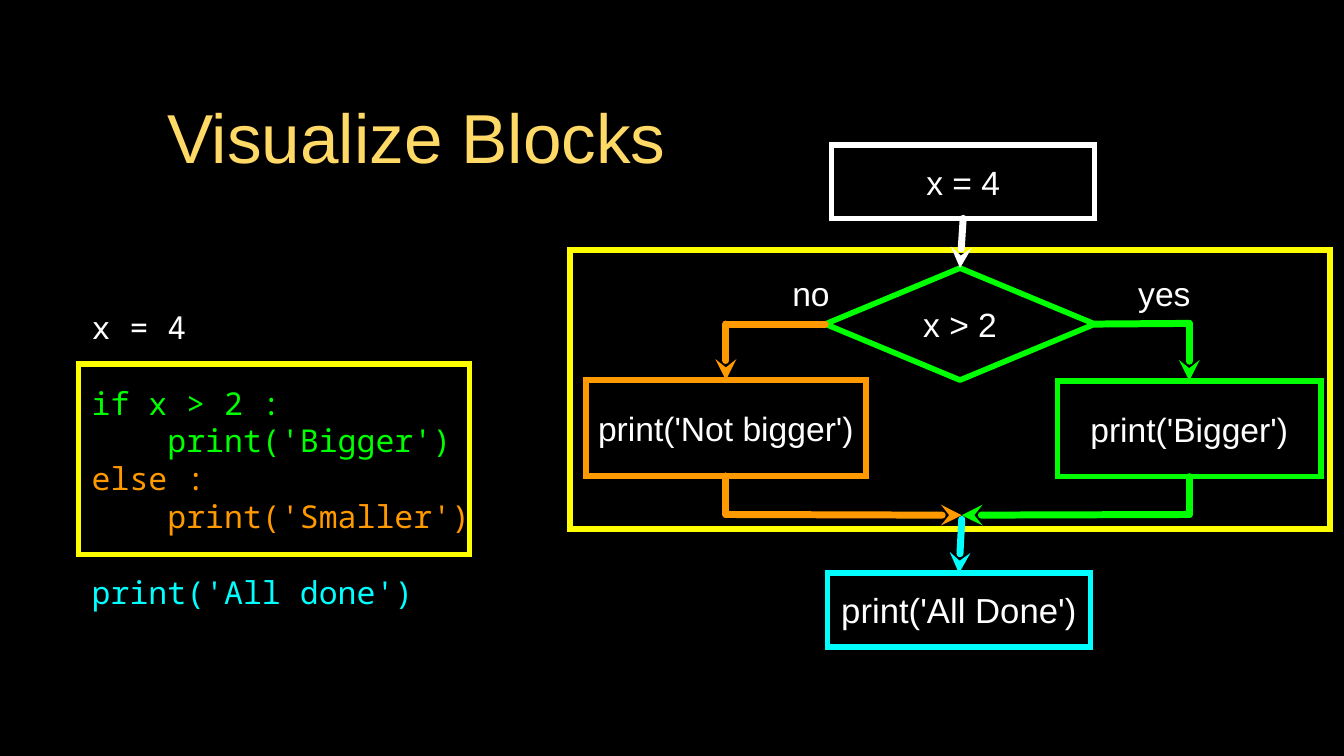
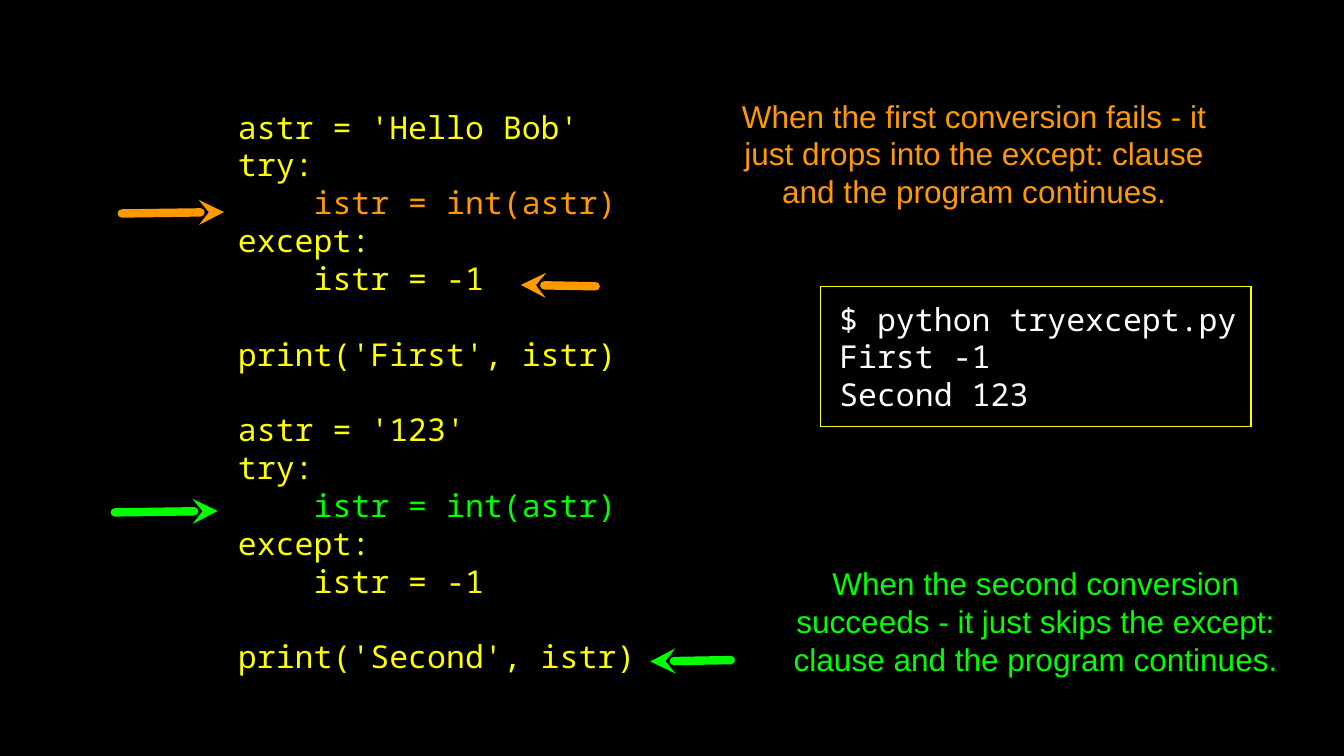
from dataclasses import dataclass
from typing import NamedTuple, Optional, Union

from lxml.etree import SubElement
from pptx import Presentation
from pptx.dml.color import RGBColor
from pptx.enum.shapes import MSO_CONNECTOR, MSO_SHAPE
from pptx.enum.text import MSO_ANCHOR, MSO_AUTO_SIZE, PP_ALIGN
from pptx.oxml.ns import qn
from pptx.presentation import Presentation as Deck
from pptx.shapes.autoshape import Shape
from pptx.slide import Slide
from pptx.text.text import TextFrame
from pptx.util import Pt


@dataclass(frozen=True)
class Theme:
    background: str = "000000"
    title: str = "FFD966"
    white: str = "FFFFFF"
    yellow: str = "FFFF00"
    green: str = "00FF00"
    orange: str = "FF9900"
    cyan: str = "00FFFF"
    text_font: str = "Arial"
    code_font: str = "Noto Sans Mono"
    title_size: float = 49.5
    body_size: float = 22.5
    label_size: float = 24
    final_size: float = 24.8
    line_pitch: float = 27
    box_line: float = 4
    flow_line: float = 5
    pointer_line: float = 6


THEME = Theme()


class Area(NamedTuple):
    left: float
    top: float
    width: float
    height: float


class Point(NamedTuple):
    x: float
    y: float


class Joint(NamedTuple):
    box: str
    side: int


TOP, LEFT, BOTTOM, RIGHT = range(4)


class Line(NamedTuple):
    text: str
    color: str
    blank_before: bool = False


@dataclass(frozen=True)
class Block:
    name: str
    area: Area
    color: str
    text: str = ""
    size: float = THEME.label_size
    preset: MSO_SHAPE = MSO_SHAPE.RECTANGLE


@dataclass(frozen=True)
class Link:
    start: Union[Point, Joint]
    end: Union[Point, Joint]
    color: str
    arrow: bool = True
    width: float = THEME.flow_line


FLOW_BLOCKS = [
    Block("code frame", Area(56, 260, 279.5, 136), THEME.yellow),
    Block("flow frame", Area(407, 178.5, 543, 199.5), THEME.yellow),
    Block("test", Area(589.5, 191.5, 192.5, 80), THEME.green, "x > 2",
          preset=MSO_SHAPE.DIAMOND),
    Block("bigger", Area(755.5, 272, 188, 68.5), THEME.green, "print('Bigger')"),
    Block("not bigger", Area(418.5, 271.5, 200, 68.5), THEME.orange,
          "print('Not bigger')"),
    Block("assign", Area(594, 103.5, 188, 52.5), THEME.white, "x = 4"),
    Block("done", Area(591, 409.5, 188, 52.5), THEME.cyan, "print('All Done')",
          THEME.final_size),
]

YES_CORNER, YES_TURN = Point(849.5, 231), Point(849.5, 367.5)
NO_CORNER, NO_TURN = Point(518.5, 231.5), Point(518.5, 367.5)
MERGE = Point(687, 368)

FLOW_LINKS = [
    Link(Joint("test", RIGHT), YES_CORNER, THEME.green, arrow=False),
    Link(YES_CORNER, Joint("bigger", TOP), THEME.green),
    Link(Joint("bigger", BOTTOM), YES_TURN, THEME.green, arrow=False),
    Link(YES_TURN, MERGE, THEME.green),
    Link(Joint("assign", BOTTOM), Joint("test", TOP), THEME.white),
    Link(Joint("test", LEFT), NO_CORNER, THEME.orange, arrow=False),
    Link(NO_CORNER, Joint("not bigger", TOP), THEME.orange),
    Link(Joint("not bigger", BOTTOM), NO_TURN, THEME.orange, arrow=False),
    Link(NO_TURN, MERGE, THEME.orange),
    Link(Point(MERGE.x, 371), Joint("done", TOP), THEME.cyan),
]

BLOCK_CODE = [
    Line("x = 4", THEME.white),
    Line("if x > 2 :", THEME.green, True),
    Line("    print('Bigger')", THEME.green),
    Line("else :", THEME.orange),
    Line("    print('Smaller')", THEME.orange),
    Line("print('All done')", THEME.cyan, True),
]


def conversion_code(value: str, name: str, color: str, blank_before: bool) -> list[Line]:
    return [
        Line(f"astr = '{value}'", THEME.yellow, blank_before),
        Line("try:", THEME.yellow),
        Line("    istr = int(astr)", color),
        Line("except:", THEME.yellow),
        Line("    istr = -1", THEME.yellow),
        Line(f"print('{name}', istr)", THEME.yellow, True),
    ]


CONVERSION_CODE = (conversion_code("Hello Bob", "First", THEME.orange, False)
                   + conversion_code("123", "Second", THEME.green, True))

TERMINAL = [Line(text, THEME.white)
            for text in ("$ python tryexcept.py", "First -1", "Second 123")]

POINTERS = [
    Link(Point(87, 152.5), Point(160, 151.5), THEME.orange, width=THEME.pointer_line),
    Link(Point(425.5, 204.5), Point(372, 203.5), THEME.orange, width=THEME.pointer_line),
    Link(Point(82, 366), Point(155.5, 365), THEME.green, width=THEME.pointer_line),
    Link(Point(522, 471.5), Point(464.5, 472.5), THEME.green, width=THEME.pointer_line),
]


def in_points(values: tuple) -> list[Pt]:
    return [Pt(value) for value in values]


def prepare_frame(frame: TextFrame, inset: float = 0, left_inset: float = 0) -> None:
    frame.word_wrap = True
    frame.auto_size = MSO_AUTO_SIZE.NONE
    frame.vertical_anchor = MSO_ANCHOR.MIDDLE
    frame.margin_top = frame.margin_right = frame.margin_bottom = Pt(inset)
    frame.margin_left = Pt(left_inset or inset)


def write_lines(frame: TextFrame, lines: list[Line], font: str, size: float,
                align: PP_ALIGN, pitch: Optional[float] = None) -> None:
    """Fill a frame with one paragraph a line; a blank line is space before."""
    frame.text = "\n".join(line.text for line in lines)
    for para, line in zip(frame.paragraphs, lines):
        para.alignment = align
        if pitch:
            para.line_spacing = Pt(pitch)
            if line.blank_before:
                para.space_before = Pt(pitch)
        for span in para.runs:
            span.font.name = font
            span.font.size = Pt(size)
            span.font.color.rgb = RGBColor.from_string(line.color)


def write_code(frame: TextFrame, lines: list[Line]) -> None:
    write_lines(frame, lines, THEME.code_font, THEME.body_size, PP_ALIGN.LEFT,
                THEME.line_pitch)


def add_text_area(slide: Slide, area: Area) -> TextFrame:
    frame = slide.shapes.add_textbox(*in_points(area)).text_frame
    prepare_frame(frame)
    return frame


def add_code(slide: Slide, area: Area, lines: list[Line]) -> None:
    write_code(add_text_area(slide, area), lines)


def add_label(slide: Slide, area: Area, text: str) -> None:
    write_lines(add_text_area(slide, area), [Line(text, THEME.white)],
                THEME.text_font, THEME.label_size, PP_ALIGN.CENTER)


def add_remark(slide: Slide, area: Area, text: str, color: str) -> None:
    write_lines(add_text_area(slide, area), [Line(text, color)], THEME.text_font,
                THEME.body_size, PP_ALIGN.CENTER, THEME.line_pitch)


def add_outline(slide: Slide, area: Area, color: str, width: float,
                preset: MSO_SHAPE = MSO_SHAPE.RECTANGLE) -> Shape:
    box = slide.shapes.add_shape(preset, *in_points(area))
    box.shadow.inherit = False
    box.fill.background()
    box.line.color.rgb = RGBColor.from_string(color)
    box.line.width = Pt(width)
    if preset == MSO_SHAPE.RECTANGLE:
        SubElement(box._element.spPr.get_or_add_ln(), qn("a:miter"), lim="800000")
    return box


def add_block(slide: Slide, block: Block) -> Shape:
    box = add_outline(slide, block.area, block.color, THEME.box_line, block.preset)
    if block.text:
        prepare_frame(box.text_frame)
        write_lines(box.text_frame, [Line(block.text, THEME.white)],
                    THEME.text_font, block.size, PP_ALIGN.CENTER)
    return box


def add_link(slide: Slide, link: Link, boxes: dict[str, Shape]) -> None:
    ends = [end if isinstance(end, Point) else Point(0, 0)
            for end in (link.start, link.end)]
    connector = slide.shapes.add_connector(
        MSO_CONNECTOR.STRAIGHT, *in_points(ends[0]), *in_points(ends[1]))
    if isinstance(link.start, Joint):
        connector.begin_connect(boxes[link.start.box], link.start.side)
    if isinstance(link.end, Joint):
        connector.end_connect(boxes[link.end.box], link.end.side)
    connector.line.color.rgb = RGBColor.from_string(link.color)
    connector.line.width = Pt(link.width)
    properties = connector._element.spPr
    outline = properties.get_or_add_ln()
    outline.set("cap", "rnd")
    SubElement(outline, qn("a:round"))
    if link.arrow:
        SubElement(outline, qn("a:tailEnd"), type="stealth")
    SubElement(properties, qn("a:effectLst"))


def set_title(slide: Slide, area: Area, text: str) -> None:
    title = slide.shapes.title
    title.left, title.top, title.width, title.height = in_points(area)
    prepare_frame(title.text_frame, inset=2)
    write_lines(title.text_frame, [Line(text, THEME.title)], THEME.text_font,
                THEME.title_size, PP_ALIGN.CENTER)


def build_blocks_slide(deck: Deck) -> None:
    slide = deck.slides.add_slide(deck.slide_layouts.get_by_name("Title Only"))
    set_title(slide, Area(68.5, 44, 458, 106), "Visualize Blocks")
    boxes = {block.name: add_block(slide, block) for block in FLOW_BLOCKS}
    for link in FLOW_LINKS:
        add_link(slide, link, boxes)
    add_code(slide, Area(65.5, 209.5, 284.5, 237), BLOCK_CODE)
    add_label(slide, Area(808, 194.5, 47.5, 30), "yes")
    add_label(slide, Area(564.5, 194.5, 29.5, 30), "no")


def build_conversion_slide(deck: Deck) -> None:
    slide = deck.slides.add_slide(deck.slide_layouts.get_by_name("Blank"))
    add_code(slide, Area(170, 67, 307.5, 425), CONVERSION_CODE)
    terminal = add_outline(slide, Area(586, 204.5, 307.5, 100), THEME.yellow, 1)
    prepare_frame(terminal.text_frame, left_inset=13.5)
    write_code(terminal.text_frame, TERMINAL)
    add_remark(slide, Area(522, 67, 348, 85),
               "When the first conversion fails - it just drops into the except: "
               "clause and the program continues.", THEME.orange)
    add_remark(slide, Area(566, 401, 348, 85),
               "When the second conversion succeeds - it just skips the except: "
               "clause and the program continues.", THEME.green)
    for pointer in POINTERS:
        add_link(slide, pointer, {})


def main() -> None:
    deck = Presentation()
    deck.slide_width, deck.slide_height = Pt(960), Pt(540)
    backdrop = deck.slide_master.background.fill
    backdrop.solid()
    backdrop.fore_color.rgb = RGBColor.from_string(THEME.background)
    build_blocks_slide(deck)
    build_conversion_slide(deck)
    deck.save("out.pptx")


if __name__ == "__main__":
    main()
